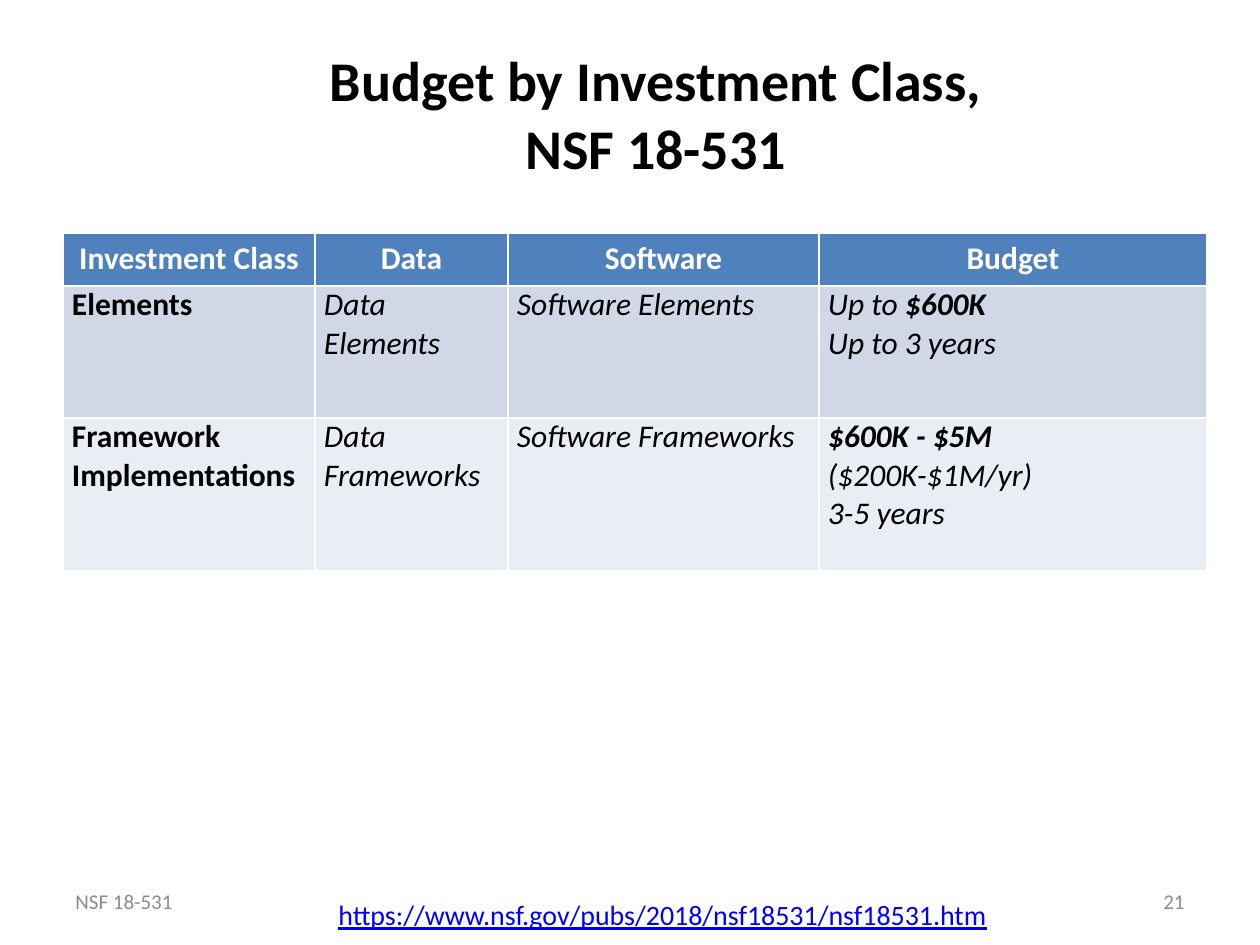
"""Build the slide of budgets by investment class."""
from dataclasses import dataclass, field

from pptx import Presentation
from pptx import util as u
from pptx.dml.color import RGBColor
from pptx.enum import text

EMU_PER_PX = 914400 / 126
COLORS = {
    "paper": "FFFFFF",
    "ink": "000000",
    "link": "0000FF",
    "muted": "8C8C8C",
    "header": "4F81BD",
    "elements": "D0D8E8",
    "frameworks": "E9EDF4",
}
LEFT, CENTER, RIGHT = (
    text.PP_ALIGN.LEFT, text.PP_ALIGN.CENTER, text.PP_ALIGN.RIGHT)
TOP, MIDDLE = text.MSO_ANCHOR.TOP, text.MSO_ANCHOR.MIDDLE
BOLD = {"bold": True}
ITALIC = {"italic": True}
BOLD_ITALIC = BOLD | ITALIC
CELL_MARGINS = {"margin_left": 9, "margin_right": 9,
                "margin_top": 0, "margin_bottom": 0}


@dataclass(frozen=True)
class Run:
    wording: str
    format: dict = field(default_factory=dict)


@dataclass(frozen=True)
class Label:
    box: tuple[int, int, int, int]
    run: Run
    size: int
    color: str
    align: text.PP_ALIGN = LEFT
    anchor: text.MSO_ANCHOR = MIDDLE
    wrap: bool = True


@dataclass(frozen=True)
class BudgetRow:
    height: int
    fill: str
    cells: list[list[list[Run]]]
    color: str = "ink"
    align: text.PP_ALIGN = LEFT
    margins: dict = field(default_factory=lambda: CELL_MARGINS)


LABELS = [
    Label((326, 891, 676, 47),
          Run("https://www.nsf.gov/pubs/2018/nsf18531/nsf18531.htm",
              {"underline": True}), 16, "link", anchor=TOP, wrap=False),
    Label((84, 34, 1144, 158),
          Run("Budget by Investment Class,\nNSF 18-531", BOLD),
          32, "ink", CENTER),
    Label((903, 876, 294, 50), Run("21"), 12, "muted", RIGHT),
    Label((63, 876, 294, 50), Run("NSF 18-531"), 12, "muted"),
]
TABLE_ORIGIN = (63, 233)
COLUMN_WIDTHS = [252, 193, 311, 388]
HEADINGS = ["Investment Class", "Data", "Software", "Budget"]
BUDGET_ROWS = [
    BudgetRow(53, "header", [[[Run(heading, BOLD)]] for heading in HEADINGS],
              "paper", CENTER, {}),
    BudgetRow(132, "elements", [
        [[Run("Elements", BOLD)]],
        [[Run("Data Elements", ITALIC)]],
        [[Run("Software Elements", ITALIC)]],
        [[Run("Up to ", ITALIC), Run("$600K", BOLD_ITALIC)],
         [Run("Up to 3 years", ITALIC)]],
    ]),
    BudgetRow(153, "frameworks", [
        [[Run("Framework Implementations", BOLD)]],
        [[Run("Data Frameworks", ITALIC)]],
        [[Run("Software Frameworks", ITALIC)]],
        [[Run("$600K - $5M", BOLD_ITALIC)],
         [Run("($200K-$1M/yr)", ITALIC)],
         [Run("3-5 years", ITALIC)]],
    ]),
    BudgetRow(42, "paper", [[] for _ in HEADINGS]),
]


def px(length: int) -> u.Emu:
    """Turn pixels into EMU."""
    return u.Emu(round(length * EMU_PER_PX))


def rgb(name: str) -> RGBColor:
    """Look up a named colour."""
    return RGBColor.from_string(COLORS[name])


def write(frame, paragraphs: list[list[Run]], size: int, color: str,
          align: text.PP_ALIGN) -> None:
    """Fill a text frame with formatted paragraphs."""
    for index, runs in enumerate(paragraphs):
        paragraph = frame.add_paragraph() if index else frame.paragraphs[0]
        paragraph.alignment = align
        for run in runs:
            for number, line in enumerate(run.wording.split("\n")):
                if number:
                    paragraph.add_line_break()
                piece = paragraph.add_run()
                piece.text = line
                base = {"name": "Calibri", "size": u.Pt(size),
                        "bold": False, "italic": False}
                for name, value in (base | run.format).items():
                    setattr(piece.font, name, value)
                piece.font.color.rgb = rgb(color)


def draw_label(slide, label: Label) -> None:
    """Draw one text box."""
    frame = slide.shapes.add_textbox(*map(px, label.box)).text_frame
    frame.word_wrap = label.wrap
    frame.vertical_anchor = label.anchor
    write(frame, [[label.run]], label.size, label.color, label.align)


def draw_budget(slide, rows: list[BudgetRow]) -> None:
    """Draw the budget table."""
    extent = (sum(COLUMN_WIDTHS), sum(row.height for row in rows))
    budget = slide.shapes.add_table(
        len(rows), len(COLUMN_WIDTHS), *map(px, TABLE_ORIGIN + extent)).table
    for column, width in zip(budget.columns, COLUMN_WIDTHS):
        column.width = px(width)
    for line, row in zip(budget.rows, rows):
        line.height = px(row.height)
        for cell, paragraphs in zip(line.cells, row.cells):
            cell.fill.solid()
            cell.fill.fore_color.rgb = rgb(row.fill)
            for name, value in row.margins.items():
                setattr(cell, name, px(value))
            write(cell.text_frame, paragraphs, 18, row.color, row.align)


def main() -> None:
    """Build and save the slide."""
    deck = Presentation()
    deck.slide_width, deck.slide_height = px(1260), px(945)
    slide = deck.slides.add_slide(deck.slide_layouts[6])
    for label in LABELS:
        draw_label(slide, label)
    draw_budget(slide, BUDGET_ROWS)
    deck.save("out.pptx")


if __name__ == "__main__":
    main()
